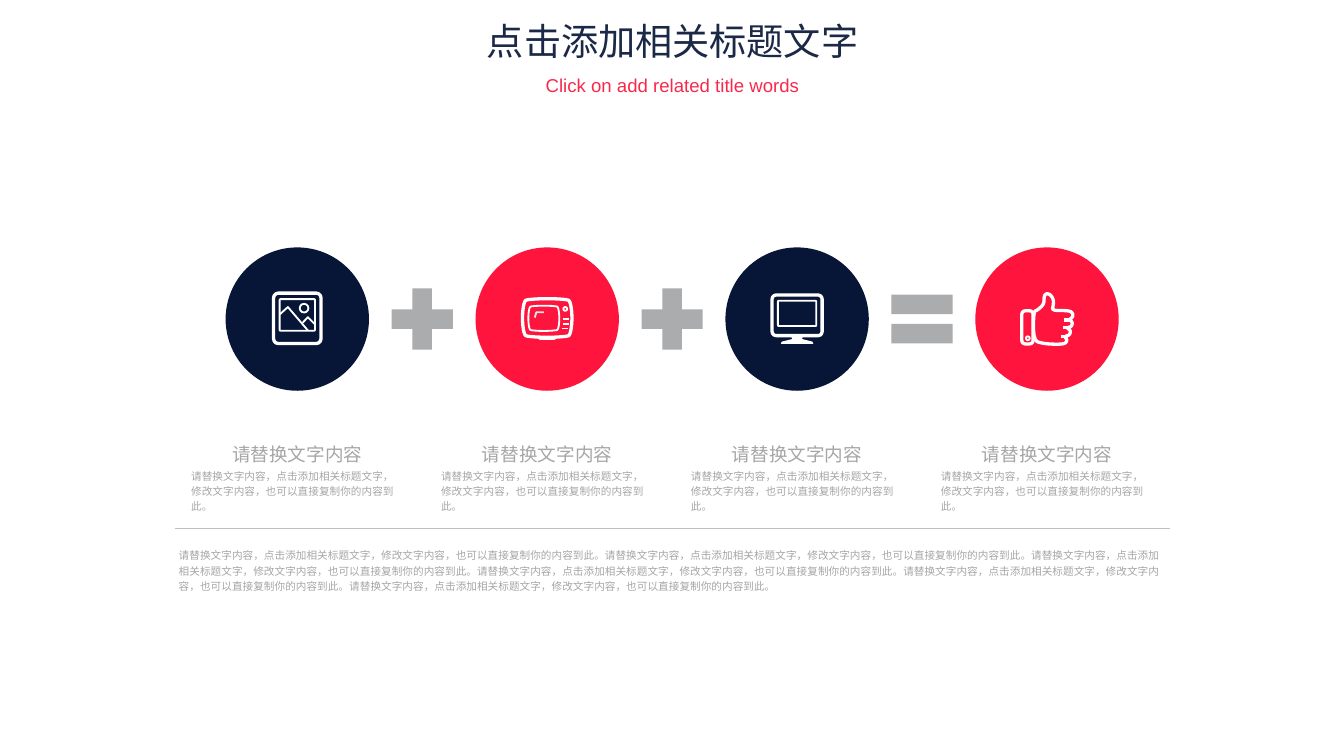
from lxml import etree
from pptx import Presentation
from pptx import util as u
from pptx.dml.color import RGBColor
from pptx.enum import shapes, text
from pptx.oxml import ns

NAVY = RGBColor(0x07, 0x16, 0x37)
RED = RGBColor(0xFE, 0x14, 0x3C)
TITLE_NAVY = RGBColor(0x1B, 0x29, 0x46)
SUBTITLE_RED = RGBColor(0xF8, 0x28, 0x4B)
OPERATOR_GRAY = RGBColor(0xAB, 0xAC, 0xAE)
TEXT_GRAY = RGBColor(0xA6, 0xA6, 0xA6)
RULE_GRAY = RGBColor(0xBF, 0xBF, 0xBF)
GLINT_GRAY = RGBColor(0xE7, 0xE6, 0xE6)
WHITE = RGBColor(0xFF, 0xFF, 0xFF)

SHAPE = shapes.MSO_SHAPE
HEADING = "请替换文字内容"
BODY = "请替换文字内容，点击添加相关标题文字，修改文字内容，也可以直接复制你的内容到此。"
FIRST_CENTER, PITCH, CENTER_Y = 7.9, 6.64, 8.48
BOLD, FINE = 2.5, 1.4

BARREL = [(-0.92, -0.87), (-0.75, -0.95), (0, -1), (0.75, -0.95), (0.92, -0.87), (1, 0),
          (0.92, 0.87), (0.75, 0.95), (0, 1), (-0.75, 0.95), (-0.92, 0.87), (-1, 0)]
HAND = [(-0.36, -0.2), (-0.25, -0.24), (-0.08, -0.4), (-0.08, -0.6), (-0.03, -0.68),
        (0.08, -0.66), (0.17, -0.53), (0.17, -0.38), (0.13, -0.23), (0.48, -0.23),
        (0.66, -0.2), (0.7, -0.07), (0.58, 0.02), (0.68, 0.08), (0.65, 0.2),
        (0.52, 0.23), (0.63, 0.3), (0.6, 0.43), (0.46, 0.46), (0.54, 0.55),
        (0.48, 0.66), (0.2, 0.67), (-0.1, 0.65), (-0.36, 0.57)]
MONITOR_STAND = [(-0.15, 0.48), (0.15, 0.48), (0.13, 0.53), (0.41, 0.6),
                 (0.43, 0.66), (-0.43, 0.66), (-0.41, 0.6), (-0.13, 0.53)]


def rounded(points, rounds=2):
    for _ in range(rounds):
        points = [
            (a[0] * (1 - t) + b[0] * t, a[1] * (1 - t) + b[1] * t)
            for a, b in zip(points, points[1:] + points[:1])
            for t in (0.25, 0.75)
        ]
    return points


def barrel(x, y, half_width, half_height):
    return rounded([(x + px * half_width, y + py * half_height) for px, py in BARREL])


class Canvas:
    font = "Arial"

    def __init__(self, slide):
        self.slide = slide
        self.origin = (0, 0)

    def place(self, x, y):
        return u.Cm(self.origin[0] + x), u.Cm(self.origin[1] + y)

    def paint(self, shape, fill=None, stroke=None, color=WHITE):
        shape.shadow.inherit = False
        if fill is None:
            shape.fill.background()
        else:
            shape.fill.solid()
            shape.fill.fore_color.rgb = fill
        if stroke is None:
            shape.line.fill.background()
        else:
            shape.line.color.rgb = color
            shape.line.width = u.Pt(stroke)

    def preset(self, kind, x, y, width, height, fill=None, stroke=None, corner=None):
        left, top = self.place(x - width / 2, y - height / 2)
        shape = self.slide.shapes.add_shape(kind, left, top, u.Cm(width), u.Cm(height))
        if corner is not None:
            shape.adjustments[0] = corner
        self.paint(shape, fill, stroke)

    def outline(self, points, closed=True, fill=None, stroke=None, color=WHITE):
        vertices = [self.place(x, y) for x, y in points]
        builder = self.slide.shapes.build_freeform(*vertices[0])
        builder.add_line_segments(vertices[1:], close=closed)
        self.paint(builder.convert_to_shape(), fill, stroke, color)

    def line(self, x1, x2, y, color=WHITE, stroke=FINE):
        connector = self.slide.shapes.add_connector(
            shapes.MSO_CONNECTOR.STRAIGHT, *self.place(x1, y), *self.place(x2, y))
        connector.line.color.rgb = color
        connector.line.width = u.Pt(stroke)
        etree.SubElement(connector._element.spPr, ns.qn("a:effectLst"))

    def label(self, words, left, top, width, height, size, color, spacing=1.2, inset=0,
              centered=False, font=None, before=None, wrap=True):
        box = self.slide.shapes.add_textbox(*self.place(left, top), u.Cm(width), u.Cm(height))
        frame = box.text_frame
        frame.word_wrap = wrap
        frame.margin_left = frame.margin_right = u.Cm(inset)
        frame.margin_top = frame.margin_bottom = u.Cm(inset / 2)
        if not inset:
            frame.auto_size = text.MSO_AUTO_SIZE.SHAPE_TO_FIT_TEXT
        paragraph = frame.paragraphs[0]
        paragraph.text = words
        paragraph.line_spacing = spacing
        if before is not None:
            paragraph.space_before = u.Pt(before)
        if centered:
            paragraph.alignment = text.PP_ALIGN.CENTER
        paragraph.font.name = font or self.font
        paragraph.font.size = u.Pt(size)
        paragraph.font.color.rgb = color


def draw_photo(canvas):
    canvas.preset(SHAPE.ROUNDED_RECTANGLE, 0, -0.02, 1.26, 1.34, stroke=BOLD, corner=0.1)
    canvas.preset(SHAPE.ROUNDED_RECTANGLE, 0, -0.11, 0.94, 0.84, stroke=FINE, corner=0.03)
    canvas.preset(SHAPE.OVAL, 0.18, -0.29, 0.23, 0.23, stroke=FINE)
    canvas.outline([(-0.46, -0.13), (-0.25, -0.32), (0.28, 0.3)], closed=False, stroke=FINE)
    canvas.outline([(0.14, 0.1), (0.28, -0.05), (0.48, 0.15)], closed=False, stroke=FINE)


def draw_television(canvas):
    canvas.outline(barrel(0, -0.03, 0.67, 0.52), stroke=BOLD)
    canvas.outline(barrel(-0.09, -0.02, 0.42, 0.34), stroke=FINE)
    canvas.outline([(-0.3, 0.48), (0.3, 0.48), (0.2, 0.55), (-0.2, 0.55)], fill=WHITE)
    canvas.preset(SHAPE.OVAL, 0.48, -0.27, 0.1, 0.1, stroke=FINE)
    for left, right, y in ((0.42, 0.58, 0), (0.42, 0.58, 0.13), (0.38, 0.54, 0.25)):
        canvas.line(left, right, y)
    canvas.outline([(-0.09, -0.18), (-0.29, -0.18), (-0.33, -0.04)],
                   closed=False, stroke=FINE, color=GLINT_GRAY)


def draw_monitor(canvas):
    canvas.preset(SHAPE.ROUNDED_RECTANGLE, 0, -0.1, 1.33, 1.08, stroke=BOLD, corner=0.1)
    canvas.preset(SHAPE.ROUNDED_RECTANGLE, 0, -0.15, 1.02, 0.67, stroke=FINE, corner=0.03)
    canvas.outline(MONITOR_STAND, fill=WHITE)


def draw_thumb(canvas):
    canvas.preset(SHAPE.ROUNDED_RECTANGLE, -0.52, 0.22, 0.3, 0.88, stroke=BOLD, corner=0.3)
    canvas.preset(SHAPE.OVAL, -0.51, 0.51, 0.1, 0.1, stroke=FINE)
    canvas.outline(rounded(HAND), stroke=BOLD)
    for left, right, y in ((0.46, 0.58, 0.02), (0.42, 0.54, 0.23), (0.37, 0.49, 0.46)):
        canvas.line(left, right, y, stroke=BOLD)


def main():
    presentation = Presentation()
    presentation.slide_width = u.Cm(35.71)
    presentation.slide_height = u.Cm(20.09)
    canvas = Canvas(presentation.slides.add_slide(presentation.slide_layouts[6]))

    canvas.label("点击添加相关标题文字", 12.47, 0.5, 10.8, 2.03, 28, TITLE_NAVY,
                 spacing=0.9, inset=0.25, centered=True, font="Noto Sans CJK SC")
    canvas.label("Click on add related title words", 14.07, 1.9, 7.6, 1.09, 14, SUBTITLE_RED,
                 spacing=0.9, inset=0.25, centered=True, before=10)

    steps = [
        (NAVY, draw_photo, SHAPE.MATH_PLUS),
        (RED, draw_television, SHAPE.MATH_PLUS),
        (NAVY, draw_monitor, SHAPE.MATH_EQUAL),
        (RED, draw_thumb, None),
    ]
    for index, (color, draw_icon, operator) in enumerate(steps):
        canvas.origin = (FIRST_CENTER + index * PITCH, CENTER_Y)
        canvas.preset(SHAPE.OVAL, 0, 0, 3.81, 3.81, fill=color)
        draw_icon(canvas)
        if operator is not None:
            canvas.preset(operator, PITCH / 2, 0, 2.21, 2.21, fill=OPERATOR_GRAY)
        canvas.label(HEADING, -1.84, 3.18, 3.68, 0.71, 14, TEXT_GRAY, centered=True, wrap=False)
        canvas.label(BODY, -2.82, 3.94, 5.66, 0.8, 8, TEXT_GRAY)

    canvas.origin = (0, 0)
    canvas.line(4.65, 31.09, 14.05, color=RULE_GRAY, stroke=0.5)
    canvas.label(BODY * 6, 4.75, 14.53, 26.21, 1.22, 8, TEXT_GRAY)

    presentation.save("out.pptx")


if __name__ == "__main__":
    main()
